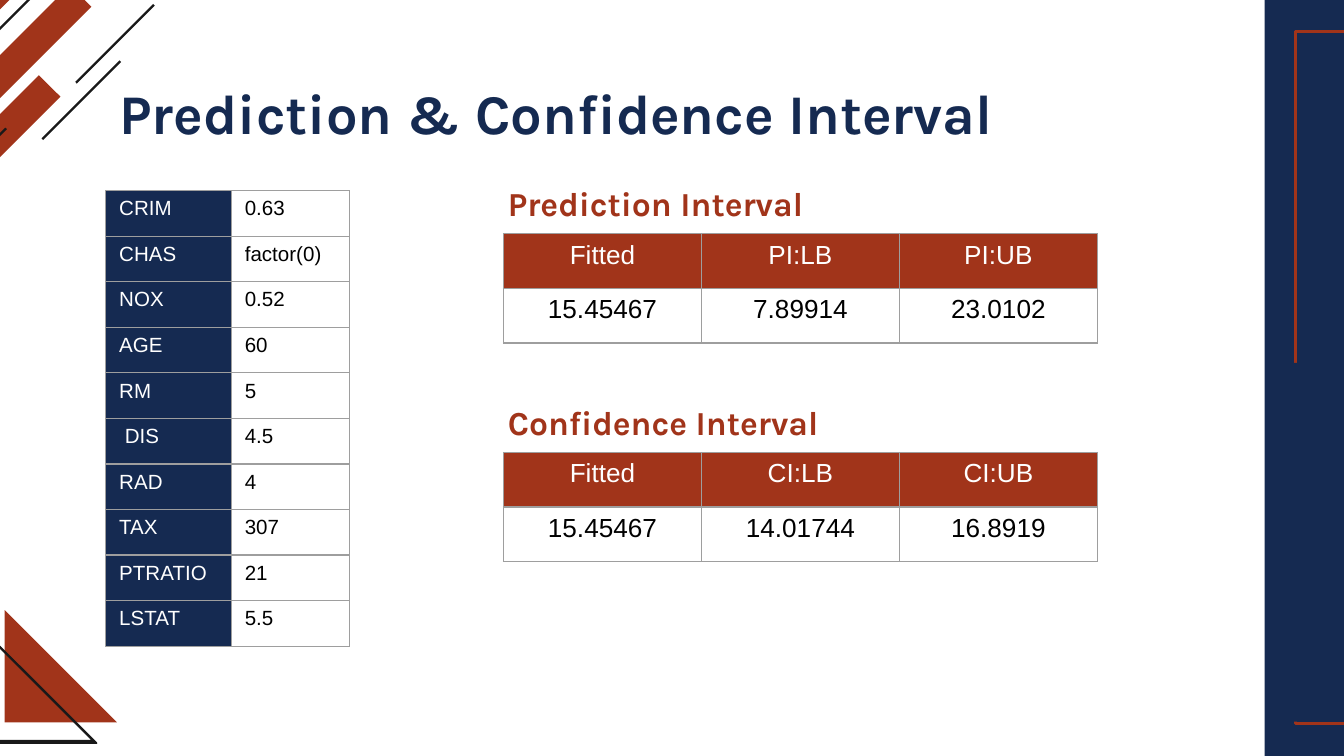
from lxml import etree
from pptx import Presentation
from pptx import util as u
from pptx.dml.color import RGBColor
from pptx.enum import shapes, text
from pptx.oxml import ns

HUES = dict(navy="152A51", rust="A1341A", ink="191919", grey="9E9E9E",
            white="FFFFFF", black="000000")
WIDE = u.Inches(10)
HIGH = u.Emu(WIDE * 9 // 16)
COLS = 100
TOP, MID = text.MSO_ANCHOR.TOP, text.PP_ALIGN.CENTER
LOW, LEFT = text.MSO_ANCHOR.BOTTOM, text.PP_ALIGN.LEFT


def grid(*vals):
    """Turn counts of square grid cells, 100 to the slide width, into lengths."""
    return [u.Emu(round(v * WIDE / COLS)) for v in vals]


def hue(name):
    """Return the named colour."""
    return RGBColor.from_string(HUES[name])


def put(obj, vals):
    """Set each attribute of an object from a dict."""
    for key, val in vals.items():
        setattr(obj, key, val)


def style(par, size, face, tint, bold=False, align=LEFT):
    """Format one paragraph."""
    put(par, dict(alignment=align))
    put(par.font, dict(size=u.Pt(size), name=face, bold=bold))
    par.font.color.rgb = hue(tint)


def paint(shape, fill=None, edge=None, width=0.75):
    """Give a shape its fill and outline, without shadow."""
    shape.shadow.inherit = False
    if fill:
        shape.fill.solid()
        shape.fill.fore_color.rgb = hue(fill)
    else:
        shape.fill.background()
    if edge:
        shape.line.color.rgb = hue(edge)
        shape.line.width = u.Pt(width)
    else:
        shape.line.fill.background()


def block(slide, box, **look):
    """Add a rectangle."""
    kind = shapes.MSO_SHAPE.RECTANGLE
    paint(slide.shapes.add_shape(kind, *grid(*box)), **look)


def outline(slide, rings, **look):
    """Add a freeform of one or more closed rings."""
    first, *rest = [[grid(*p) for p in ring] for ring in rings]
    pen = slide.shapes.build_freeform(*first[0])
    pen.add_line_segments(first[1:], close=True)
    for ring in rest:
        pen.move_to(*ring[0])
        pen.add_line_segments(ring[1:], close=True)
    paint(pen.convert_to_shape(), **look)


def stripe(slide, x, y, run, thick, tint):
    """Add a bar that rises to the right at 45 degrees."""
    ring = [(x, y), (x + thick, y + thick),
            (x + thick + run, y + thick - run), (x + run, y - run)]
    outline(slide, [ring], fill=tint)


def label(slide, box, words, size, tint, anchor):
    """Add a bold heading."""
    frame = slide.shapes.add_textbox(*grid(*box)).text_frame
    pad = u.Inches(0.1)
    put(frame, dict(word_wrap=True, vertical_anchor=anchor, margin_left=pad,
                    margin_right=pad, margin_top=pad, margin_bottom=pad))
    frame.text = words
    style(frame.paragraphs[0], size, "Karla", tint, bold=True)


def border(cell):
    """Draw thin grey lines on all sides of a cell."""
    props = cell._tc.get_or_add_tcPr()
    for side in ("lnL", "lnR", "lnT", "lnB"):
        line = etree.SubElement(props, ns.qn("a:" + side), w=str(u.Pt(0.75)))
        fill = etree.SubElement(line, ns.qn("a:solidFill"))
        etree.SubElement(fill, ns.qn("a:srgbClr"), val=HUES["grey"])


def table(slide, spot, wide, tall, rows, size, tint, head, align):
    """Add a table whose header cells, chosen by head(row, col), are tinted."""
    box = grid(*spot, sum(wide), tall * len(rows))
    tab = slide.shapes.add_table(len(rows), len(wide), *box).table
    put(tab, dict(first_row=False, horz_banding=False))
    for col, span in zip(tab.columns, grid(*wide)):
        col.width = span
    for r, row in enumerate(rows):
        tab.rows[r].height = grid(tall)[0]
        for c, words in enumerate(row):
            cell, top = tab.cell(r, c), head(r, c)
            border(cell)
            if top:
                cell.fill.solid()
                cell.fill.fore_color.rgb = hue(tint)
            else:
                cell.fill.background()
            cell.text = words
            style(cell.text_frame.paragraphs[0], size, "Arial",
                  "white" if top else "black", align=align)


def decor(slide):
    """Add the side panel and the corner ornaments."""
    block(slide, (94.1, 0, 28.9, 56.25), fill="navy")
    block(slide, (96.4, 2.35, 24.4, 51.5), edge="rust", width=1.5)
    block(slide, (95.6, 27, 16.2, 26.7), fill="navy")
    outline(slide, [[(8.7, 53.75), (0.35, 53.75), (0.35, 45.4)]], fill="rust")
    outline(slide, [[(-1.4, 46.7), (7.2, 55.3), (-1.4, 55.3)],
                    [(6.9, 55.1), (-1.2, 47), (-1.2, 55.1)]],
            fill="ink", edge="ink")
    for x, y, run in ((-4.1, 12.6, 7), (-3.6, 1.1, 7), (-10.2, 14.3, 15.4)):
        stripe(slide, x, y, run, 1.6, "rust")
    for x, y, run in ((-5.4, 15.3, 5.8), (5.6, 6.1, 5.8),
                      (3.1, 10.3, 5.8), (-5.2, 7.2, 14.2)):
        stripe(slide, x, y, run, 0.12, "ink")


def main():
    """Build the slide and save it."""
    deck = Presentation()
    put(deck, dict(slide_width=WIDE, slide_height=HIGH))
    slide = deck.slides.add_slide(deck.slide_layouts[6])
    decor(slide)
    label(slide, (7.9, 4.85, 84.3, 6.3), "Prediction & Confidence Interval",
          30, "navy", TOP)
    inputs = [("CRIM", "0.63"), ("CHAS", "factor(0)"), ("NOX", "0.52"),
              ("AGE", "60"), ("RM", "5"), (" DIS", "4.5"), ("RAD", "4"),
              ("TAX", "307"), ("PTRATIO", "21"), ("LSTAT", "5.5")]
    table(slide, (7.87, 14.18), (9.35, 8.8), 3.39, inputs, 11, "navy",
          lambda r, c: c == 0, LEFT)
    bounds = [("Prediction", "PI", "7.89914", "23.0102"),
              ("Confidence", "CI", "14.01744", "16.8919")]
    for i, (name, code, low, high) in enumerate(bounds):
        y = 17.4 + 16.27 * i
        rows = [("Fitted", code + ":LB", code + ":UB"),
                ("15.45467", low, high)]
        table(slide, (37.47, y), [14.73] * 3, 4.06, rows, 14, "rust",
              lambda r, c: r == 0, MID)
        label(slide, (36.8, y - 3.9, 31.1, 4.1), name + " Interval",
              18, "rust", LOW)
    deck.save("out.pptx")


if __name__ == "__main__":
    main()
